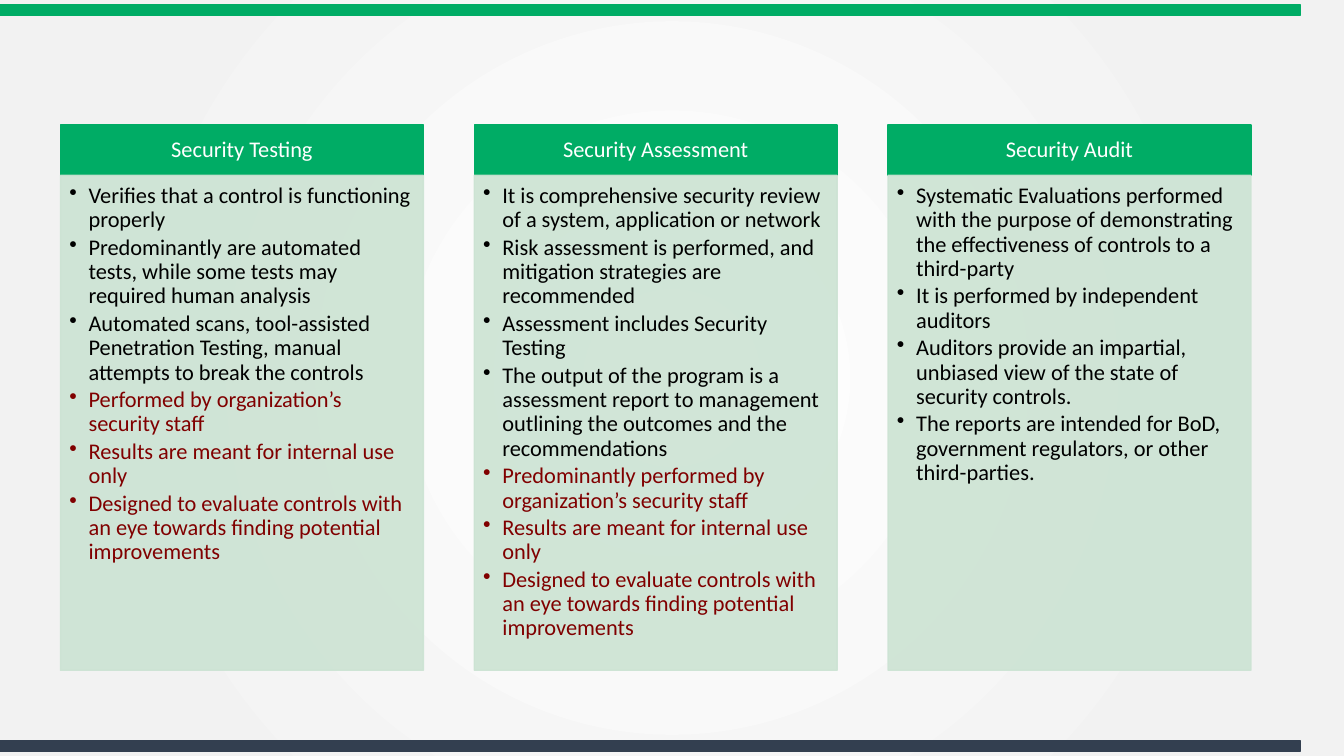
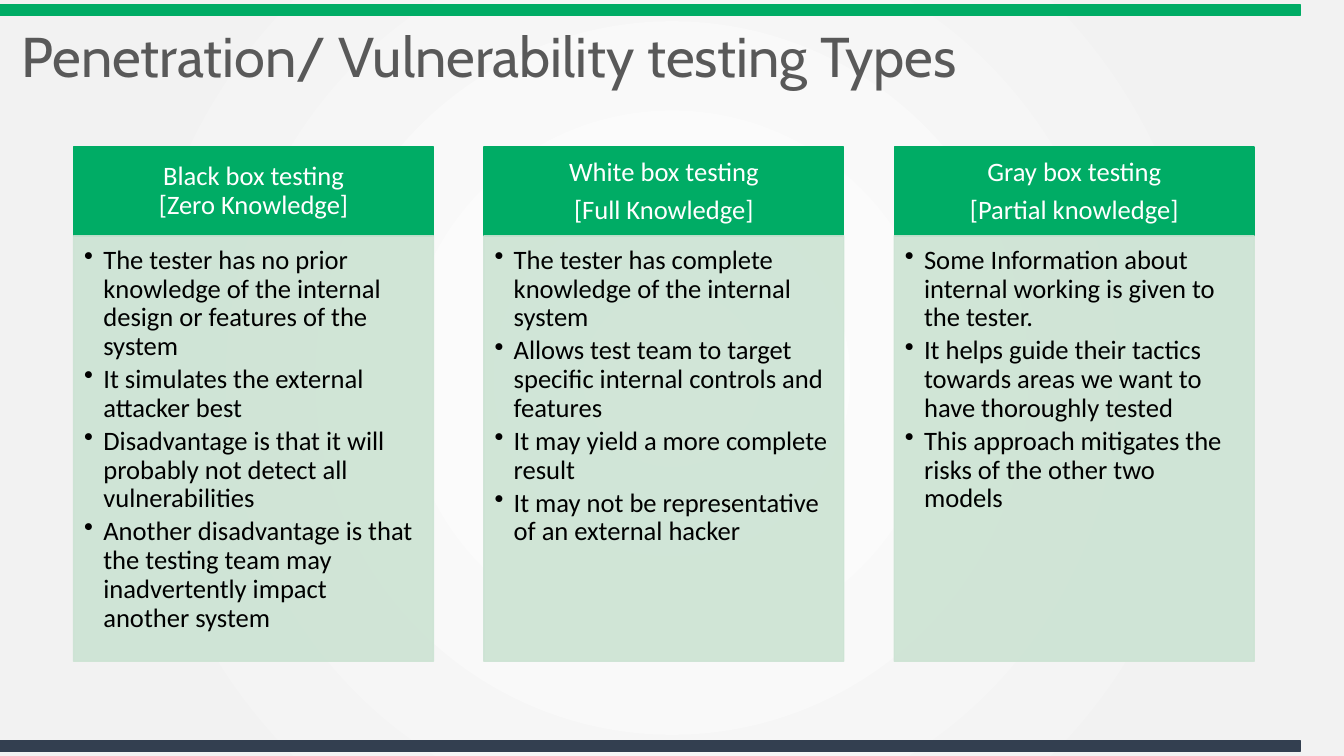
from pptx import Presentation
from pptx.dml.color import RGBColor
from pptx.enum.shapes import MSO_SHAPE
from pptx.enum.text import MSO_ANCHOR, MSO_AUTO_SIZE, PP_ALIGN
from pptx.oxml import parse_xml
from pptx.oxml.ns import nsdecls
from pptx.oxml.xmlchemy import OxmlElement
from pptx.util import Inches, Pt

SLIDE_WIDTH, SLIDE_HEIGHT = 13.33, 7.5
TITLE_ONLY, BLANK = 5, 6

GREEN, NAVY, PALE_GREEN = "00AC65", "333F50", "CCE3D3"
WHITE, LIGHT_GRAY, DARK_GRAY = "FFFFFF", "F2F2F2", "595959"
BLACK, MAROON = "000000", "800000"
TITLE_FONT, BODY_FONT = "Cabin", "Calibri"

LINE_SPACING = 0.9
COLUMN_PITCH = 1.14  # in column widths
BULLET_INDENT = Inches(0.19)

INTERNAL_USE = [
    "Results are meant for internal use only",
    "Designed to evaluate controls with an eye towards finding potential improvements",
]

# Each column: heading lines, bullets, highlighted bullets
REVIEW_COLUMNS = [
    (
        ["Security Testing"],
        [
            "Verifies that a control is functioning properly",
            "Predominantly are automated tests, while some tests may required human analysis",
            "Automated scans, tool-assisted Penetration Testing, manual attempts to break the controls",
        ],
        ["Performed by organization’s security staff", *INTERNAL_USE],
    ),
    (
        ["Security Assessment"],
        [
            "It is comprehensive security review of a system, application or network",
            "Risk assessment is performed, and mitigation strategies are recommended",
            "Assessment includes Security Testing",
            "The output of the program is a assessment report to management "
            "outlining the outcomes and the recommendations",
        ],
        ["Predominantly performed by organization’s security staff", *INTERNAL_USE],
    ),
    (
        ["Security Audit"],
        [
            "Systematic Evaluations performed with the purpose of demonstrating "
            "the effectiveness of controls to a third-party",
            "It is performed by independent auditors",
            "Auditors provide an impartial, unbiased view of the state of security controls.",
            "The reports are intended for BoD, government regulators, or other third-parties.",
        ],
        [],
    ),
]

TESTING_COLUMNS = [
    (
        ["Black box testing\v[Zero Knowledge]"],
        [
            "The tester has no prior knowledge of the internal design or features of the system",
            "It simulates the external attacker best",
            "Disadvantage is that it will probably not detect all vulnerabilities",
            "Another disadvantage is that the testing team may inadvertently impact another system",
        ],
        [],
    ),
    (
        ["White box testing", "[Full Knowledge]"],
        [
            "The tester has complete knowledge of the internal system",
            "Allows test team to target specific internal controls and features",
            "It may yield a more complete result",
            "It may not be representative of an external hacker",
        ],
        [],
    ),
    (
        ["Gray box testing", "[Partial knowledge]"],
        [
            "Some Information about internal working is given to the tester.",
            "It helps guide their tactics towards areas we want to have thoroughly tested",
            "This approach mitigates the risks of the other two models",
        ],
        [],
    ),
]


def rgb(color):
    return RGBColor.from_string(color)


def add_box(slide, left, top, width, height, color, opacity=100):
    box = slide.shapes.add_shape(
        MSO_SHAPE.RECTANGLE, Inches(left), Inches(top), Inches(width), Inches(height)
    )
    box.shadow.inherit = False
    box.fill.solid()
    box.fill.fore_color.rgb = rgb(color)
    box.line.color.rgb = rgb(color)
    box.line.width = Pt(1)
    if opacity < 100:
        for color_element in box.element.spPr.xpath(".//a:srgbClr"):
            alpha = OxmlElement("a:alpha")
            alpha.set("val", str(opacity * 1000))
            color_element.append(alpha)
    return box


def format_runs(paragraph, font_name, size, color):
    for run in paragraph.runs:
        run.font.name = font_name
        run.font.size = Pt(size)
        run.font.color.rgb = rgb(color)


def fill_text(shape, lines, size, colors, anchor, alignment, gap, insets):
    """Write one paragraph per line; gap and insets are in ems."""
    frame = shape.text_frame
    frame.text = "\n".join(lines)
    frame.word_wrap = True
    frame.vertical_anchor = anchor
    frame.margin_left, frame.margin_top, frame.margin_right, frame.margin_bottom = (
        Pt(inset * size) for inset in insets
    )
    for paragraph, color in zip(frame.paragraphs, colors):
        paragraph.alignment = alignment
        paragraph.line_spacing = LINE_SPACING
        paragraph.space_after = Pt(gap * size)
        format_runs(paragraph, BODY_FONT, size, color)


def add_bullets(text_frame):
    for paragraph in text_frame.paragraphs:
        properties = paragraph._p.get_or_add_pPr()
        properties.set("marL", str(BULLET_INDENT))
        properties.set("indent", str(-BULLET_INDENT))
        bullet = OxmlElement("a:buChar")
        bullet.set("char", "•")
        properties.append(bullet)


def add_columns(slide, columns, left, top, width, header_height, body_height, size):
    for index, (heading, bullets, highlights) in enumerate(columns):
        x = left + index * width * COLUMN_PITCH
        header = add_box(slide, x, top, width, header_height, GREEN)
        fill_text(header, heading, size, [WHITE] * len(heading), MSO_ANCHOR.MIDDLE,
                  PP_ALIGN.CENTER, 0.35, (0.56, 0.3, 0.56, 0.3))
        body = add_box(slide, x, top + header_height, width, body_height, PALE_GREEN, 90)
        colors = [BLACK] * len(bullets) + [MAROON] * len(highlights)
        fill_text(body, bullets + highlights, size, colors, MSO_ANCHOR.TOP,
                  PP_ALIGN.LEFT, 0.16, (0.4, 0.4, 0.56, 0.64))
        add_bullets(body.text_frame)


def set_title(slide, text):
    title = slide.shapes.title
    title.left, title.top = Inches(0.11), Inches(0.19)
    title.width, title.height = Inches(11.7), Inches(0.8)
    frame = title.text_frame
    frame.text = text
    frame.auto_size = MSO_AUTO_SIZE.NONE
    frame.vertical_anchor = MSO_ANCHOR.MIDDLE
    paragraph = frame.paragraphs[0]
    paragraph.alignment = PP_ALIGN.LEFT
    paragraph.line_spacing = LINE_SPACING
    format_runs(paragraph, TITLE_FONT, 40, DARK_GRAY)


def set_background(master):
    """Give the master a radial gradient from white to light gray."""
    master.background.fill.solid()
    solid = master.element.xpath("./p:cSld/p:bg/p:bgPr/a:solidFill")[0]
    stops = "".join(
        f'<a:gs pos="{position * 1000}"><a:srgbClr val="{color}"/></a:gs>'
        for position, color in [(0, WHITE), (81, LIGHT_GRAY), (100, LIGHT_GRAY)]
    )
    gradient = parse_xml(
        f'<a:gradFill {nsdecls("a")} rotWithShape="1"><a:gsLst>{stops}</a:gsLst>'
        '<a:path path="circle"><a:fillToRect l="50000" t="50000" r="50000" b="50000"/>'
        "</a:path></a:gradFill>"
    )
    solid.getparent().replace(solid, gradient)


def add_master_bands(master, slide):
    """Draw the bands on a slide, then move them to the master."""
    bands = [(0.05, GREEN), (SLIDE_HEIGHT - 0.15, NAVY)]
    for shape_id, (top, color) in enumerate(bands, start=101):
        band = add_box(slide, 0, top, 12.9, 0.1, color)
        band.element.xpath("./p:nvSpPr/p:cNvPr")[0].set("id", str(shape_id))
        master.shapes.element.append(band.element)


def main():
    presentation = Presentation()
    presentation.slide_width = Inches(SLIDE_WIDTH)
    presentation.slide_height = Inches(SLIDE_HEIGHT)
    layouts = presentation.slide_layouts

    review_slide = presentation.slides.add_slide(layouts[BLANK])
    set_background(presentation.slide_master)
    add_master_bands(presentation.slide_master, review_slide)
    add_columns(review_slide, REVIEW_COLUMNS, left=0.6, top=1.24, width=3.6,
                header_height=0.5, body_height=4.91, size=16)

    testing_slide = presentation.slides.add_slide(layouts[TITLE_ONLY])
    set_title(testing_slide, "Penetration/ Vulnerability testing Types")
    add_columns(testing_slide, TESTING_COLUMNS, left=0.73, top=1.46, width=3.57,
                header_height=0.88, body_height=4.22, size=19)

    presentation.save("out.pptx")


if __name__ == "__main__":
    main()
